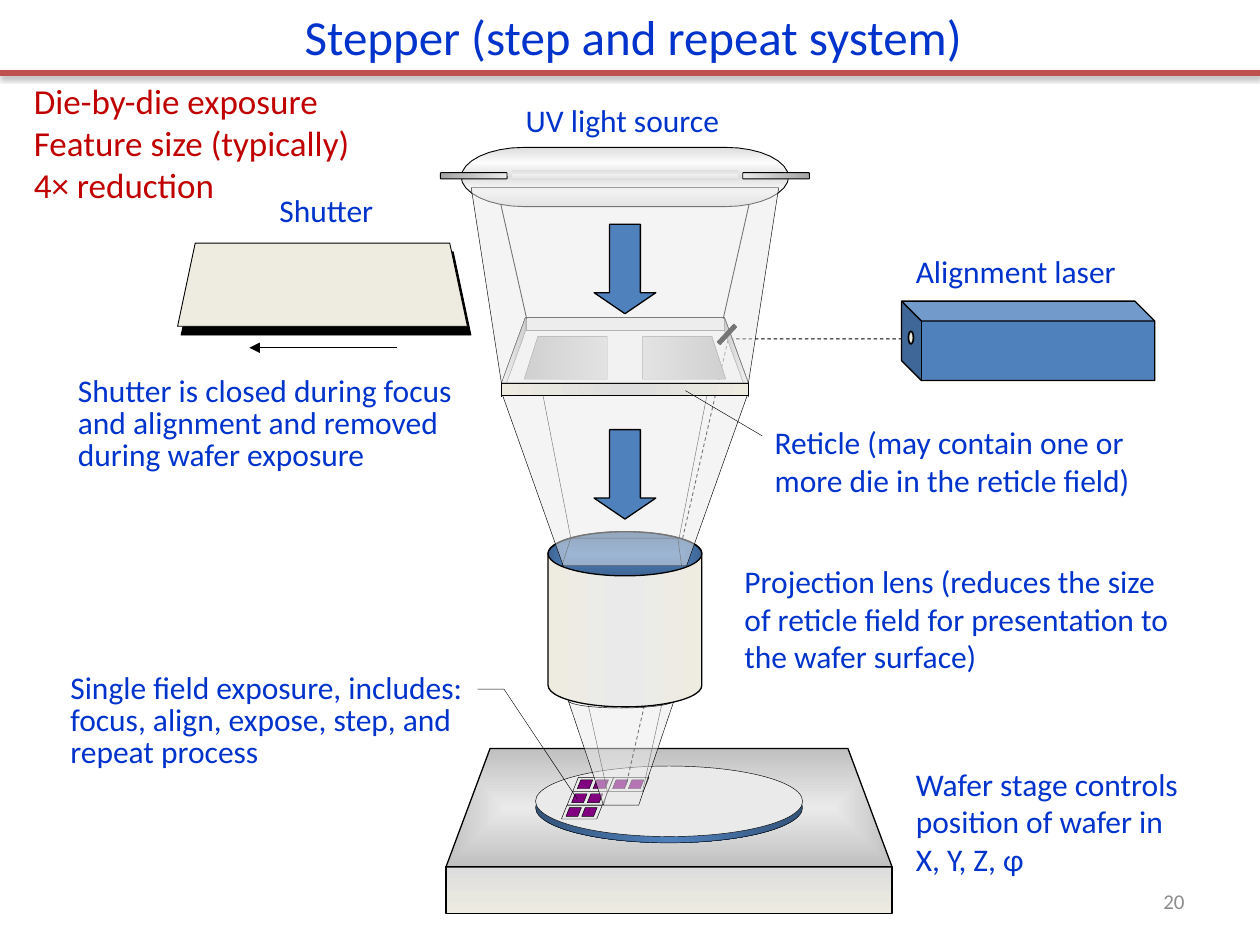
from math import cos, pi, sin

from lxml import etree
from pptx import Presentation
from pptx.dml.color import RGBColor
from pptx.enum.dml import MSO_LINE
from pptx.enum.shapes import MSO_CONNECTOR, MSO_SHAPE
from pptx.enum.text import MSO_ANCHOR, MSO_AUTO_SIZE, PP_ALIGN
from pptx.oxml.ns import qn
from pptx.util import Inches, Pt

RECT, OVAL, CAN = MSO_SHAPE.RECTANGLE, MSO_SHAPE.OVAL, MSO_SHAPE.CAN
CUBE, ROUND, DOWN = MSO_SHAPE.CUBE, MSO_SHAPE.ROUNDED_RECTANGLE, MSO_SHAPE.DOWN_ARROW
STRAIGHT, DASH = MSO_CONNECTOR.STRAIGHT, MSO_LINE.DASH
LEFT, MID, RIGHT = PP_ALIGN.LEFT, PP_ALIGN.CENTER, PP_ALIGN.RIGHT
TOP, HALF = MSO_ANCHOR.TOP, MSO_ANCHOR.MIDDLE
FIT, FIXED = MSO_AUTO_SIZE.SHAPE_TO_FIT_TEXT, MSO_AUTO_SIZE.NONE

WIDE, HIGH = Inches(10), Inches(7.5)
CELL = WIDE / 1000
OPTIC, STAGE, SPOT, SHUT, SIDE = 496, 531, 493, 256, 717

THEME = {
    "font": "Calibri",
    "ink": "000000",
    "rule": "C0504D",
    "text": {"title": (28, "0033CC"), "lead": (20, "C00000"),
             "label": (18, "0033CC"), "page": (12, "8C8C8C")},
    "line": {"thin": 0.25, "half": 0.5, "bold": 0.75, "ring": 1, "rule": 3},
    "fill": {
        "cream": ("EEECE1", None), "pale": ("EAEAEA", None),
        "steel": ("4F81BD", None), "die": ("800080", None),
        "black": ("000000", None), "beam": ("EAEAEA", 50),
        "glass": ("F8F8F8", 50), "front": ("DDDDDD EEECE1", 90),
        "stage": ("EAEAEA C0C0C0", "rect"), "rim": ("335379 4F81BD 335379", 0),
        "barrel": ("EEECE1 EAEAEA EEECE1", 0), "lens": ("4F81BD 3D6493", "shape"),
        "dusk": ("777777 C0C0C0", 0), "fade": ("F8F8F8 737373", 0),
        "edge": ("EEECE1 DDDDDD EEECE1", 0), "lamp": ("DDDDDD FCFCFC DDDDDD", 90),
        "tube": ("DDDDDD EEEEEE DDDDDD", 90), "pin": ("A3A3A3 EAEAEA", 0),
    },
    "shade": {"hard": (100, 0, 5.4, 68), "soft": (38, 3.1, 1.6, 90)},
}

TWIN = {"twin": True}
ARROW = {"adj": [0.5, 0.34]}
SCENE = [
    (SHUT, "trap", (193, 101, 259, 115), "cream", "half", {"shade": "hard"}),
    (STAGE, RECT, (0, 688, 354, 37), "front", "bold", {}),
    (STAGE, "trap", (594, 142, 688, 177), "stage", "bold", {}),
    (STAGE, OVAL, (0, 613, 212, 56), "rim", "thin", {}),
    (STAGE, OVAL, (0, 608, 212, 56), "pale", "thin", {}),
    (0, "dies", [(0, 0), (2, 0), (1, 0), (0, 1)], "die", "thin", {}),
    (OPTIC, "path", [(225, 269), (82, 269), (1, 623)], None, "half", {"dash": DASH}),
    (OPTIC, "path", [(-17, 639), (-14, 628), (15, 628)], None, "thin", {}),
    (OPTIC, "line", [(-14, 628), (-29, 560)], None, "thin", TWIN),
    (SPOT, "cone", (556, 42, 639, 14), "beam", "thin", {}),
    (OPTIC, CAN, (0, 422, 122, 139), "barrel", "bold", {"adj": [0.28]}),
    (OPTIC, OVAL, (0, 422, 122, 35), "lens", "bold", {}),
    (OPTIC, CUBE, (320, 239, 201, 63), "steel", "bold", {"flip": True, "adj": [0.25]}),
    (OPTIC, OVAL, (227, 263, 4, 10), "cream", "ring", {}),
    (OPTIC, "path", [(-50, 449), (-43, 427), (42, 427), (45, 449)], None, "thin", {}),
    (OPTIC, "line", [(-43, 427), (-65, 314)], None, "thin", TWIN),
    (OPTIC, "trap", (314, 97, 449, 49), "beam", "thin", {}),
    (OPTIC, DOWN, (0, 341, 49, 71), "steel", "bold", ARROW),
    (OPTIC, "poly", [(-80, 301), (-69, 267), (-14, 267), (-14, 301)], "dusk", "thin", TWIN),
    (OPTIC, RECT, (0, 252, 157, 10), "pale", "thin", {}),
    (OPTIC, "poly", [(-98, 304), (-79, 252), (-79, 263), (-98, 315)], "fade", "thin", TWIN),
    (OPTIC, RECT, (0, 304, 196, 10), "edge", "thin", {}),
    (OPTIC, "trap", (252, 79, 304, 98), "glass", "thin", {}),
    (OPTIC, "line", [(-78, 253), (-99, 160)], None, "half", TWIN),
    (OPTIC, "arc", (141, 80, 50, -24), "lamp", "half", {}),
    (OPTIC, "arc", (140, 80, 50, 24), "lamp", "half", {}),
    (OPTIC, ROUND, (-120, 137, 53, 5), "pin", "half", {"adj": [0.12], "twin": True}),
    (OPTIC, RECT, (0, 135, 179, 8), "tube", None, {}),
    (OPTIC, RECT, (81, 264, 19, 3), "black", "bold", {"turn": 313}),
    (OPTIC, "trap", (149, 122, 304, 98), "beam", "thin", {}),
    (OPTIC, DOWN, (0, 178, 49, 71), "steel", "bold", ARROW),
    (0, "path", [(379, 547), (400, 547), (458, 634)], None, "thin", {}),
    (0, "line", [(315, 276), (198, 276)], None, "bold", {"head": True}),
    (0, "line", [(605, 346), (544, 310)], None, "thin", {}),
    (0, "line", [(0, 58), (1000, 58)], None, "rule", {"ink": THEME["rule"], "shade": "soft"}),
]

BASE = {"wrap": True, "align": LEFT, "space": 1, "anchor": TOP, "size": FIT}
TIGHT, SOLO = {"space": 0.85}, {"wrap": False}
PEAK = {"wrap": False, "align": MID}
NOTES = [
    ("Single field exposure, includes: focus, align, expose, step, and repeat process",
     46, 530, 358, 3, "label", TIGHT),
    ("UV light source", 405, 75, 178, 1, "label", PEAK),
    ("Reticle (may contain one or more die in the reticle field)",
     605, 331, 326, 2, "label", {}),
    ("Shutter", 210, 147, 98, 1, "label", PEAK),
    ("Wafer stage controls position of wafer in\nX, Y, Z, φ", SIDE, 602, 248, 3, "label", {}),
    ("Projection lens (reduces the size of reticle field for presentation to the wafer surface)",
     581, 441, 359, 3, "label", {}),
    ("Shutter is closed during focus and alignment and removed during wafer exposure",
     52, 294, 326, 3, "label", TIGHT),
    ("Alignment laser", SIDE, 195, 184, 1, "label", SOLO),
    ("Stepper (step and repeat system)", 232, 0, 547, 1, "title", SOLO),
    ("Die-by-die exposure\nFeature size (typically) 4× reduction",
     17, 58, 275, 3, "lead", {}),
    ("20", SIDE, 700, 233, 1, "page", {"align": RIGHT, "anchor": HALF, "size": FIXED}),
]


def emu(nums):
    return [round(n * CELL) for n in nums]


def rgb(code):
    return RGBColor.from_string(code)


def put(node, tag, **vals):
    return etree.SubElement(node, qn("a:" + tag), {k: str(v) for k, v in vals.items()})


def trap(top, near, low, far):
    return [(-near, top), (near, top), (far, low), (-far, low)]


def arc(mid, flat, reach, rise, steps=16):
    turns = [pi * (1 - i / steps) for i in range(steps + 1)]
    left = [(reach * cos(t) - flat, mid + rise * sin(t)) for t in turns if t >= pi / 2]
    return left + [(-x, y) for x, y in left[::-1]]


def cone(top, near, low, far):
    return arc(top, 0, near, 6) + [(far, low), (-far, low)]


def slant(x, y, wide, high):
    lean = 0.4 * high
    return [(x, y), (x + wide, y), (x + wide - lean, y + high), (x - lean, y + high)]


def expand(kind, geo, fill, more):
    if kind == "dies":
        for row, col in geo:
            x, y = 459 + 28 * col - 4.5 * row, 617 + 11 * row
            for gap in (2, 14.5):
                yield "poly", slant(x + gap, y + 2, 9.5, 7), fill
            yield "poly", slant(x, y, 28, 11), None
        return
    rules = {"trap": ("poly", trap), "cone": ("poly", cone), "arc": ("path", arc)}
    if kind in rules:
        kind, rule = rules[kind]
        geo = rule(*geo)
    yield kind, geo, fill
    if "twin" in more:
        flat = isinstance(geo, tuple)
        twin = (-geo[0], *geo[1:]) if flat else [(-x, y) for x, y in geo]
        yield kind, twin, fill and "-" + fill


def paint(shape, name):
    if name is None:
        shape.fill.background()
        return
    tones, mode = THEME["fill"][name.lstrip("-")]
    tones = tones.split()
    if name.startswith("-"):
        tones.reverse()
    shape.fill.solid()
    shape.fill.fore_color.rgb = rgb(tones[0])
    solid = shape._element.spPr.find(qn("a:solidFill"))
    if len(tones) == 1:
        if mode:
            put(solid[0], "alpha", val=mode * 1000)
        return
    grad = etree.Element(qn("a:gradFill"), rotWithShape="1")
    stops = put(grad, "gsLst")
    for i, tone in enumerate(tones):
        put(put(stops, "gs", pos=100000 * i // (len(tones) - 1)), "srgbClr", val=tone)
    if isinstance(mode, str):
        put(put(grad, "path", path=mode), "fillToRect", **dict.fromkeys("ltrb", 50000))
    else:
        put(grad, "lin", ang=mode * 60000, scaled=0)
    solid.getparent().replace(solid, grad)


def make(shapes, axis, kind, geo):
    if isinstance(geo, tuple):
        mid, top, wide, high = geo
        return shapes.add_shape(kind, *emu((axis + mid - wide / 2, top, wide, high)))
    pts = [(axis + x, y) for x, y in geo]
    if kind == "line":
        return shapes.add_connector(STRAIGHT, *emu(pts[0] + pts[1]))
    pen = shapes.build_freeform(*emu(pts[0]))
    pen.add_line_segments([emu(pt) for pt in pts[1:]], close=kind == "poly")
    return pen.convert_to_shape()


def draw(shapes, axis, kind, geo, fill, line, more):
    shape = make(shapes, axis, kind, geo)
    props = shape._element.spPr
    if kind != "line":
        paint(shape, fill)
    if line:
        shape.line.color.rgb = rgb(more.get("ink", THEME["ink"]))
        shape.line.width = Pt(THEME["line"][line])
    else:
        shape.line.fill.background()
    if "dash" in more:
        shape.line.dash_style = more["dash"]
    if "head" in more:
        put(props.find(qn("a:ln")), "tailEnd", type="triangle")
    for i, val in enumerate(more.get("adj", [])):
        shape.adjustments[i] = val
    if "flip" in more:
        props.find(qn("a:xfrm")).set("flipH", "1")
    if "turn" in more:
        shape.rotation = more["turn"]
    glow = put(props, "effectLst")
    if "shade" in more:
        alpha, blur, dist, ang = THEME["shade"][more["shade"]]
        cast = put(glow, "outerShdw", blurRad=Pt(blur), dist=Pt(dist),
                   dir=ang * 60000, algn="ctr", rotWithShape=0)
        put(put(cast, "srgbClr", val=THEME["ink"]), "alpha", val=alpha * 1000)


def write(shapes, text, x, y, wide, rows, role, more):
    look = {**BASE, **more}
    size, tone = THEME["text"][role]
    high = 10 + 1.69 * size * rows * look["space"]
    frame = shapes.add_textbox(*emu((x, y, wide, high))).text_frame
    frame.text = text
    form = {"word_wrap": look["wrap"], "auto_size": look["size"],
            "vertical_anchor": look["anchor"]}
    for key, val in form.items():
        setattr(frame, key, val)
    for para in frame.paragraphs:
        for key, val in {"alignment": look["align"], "line_spacing": float(look["space"])}.items():
            setattr(para, key, val)
        for key, val in {"name": THEME["font"], "size": Pt(size)}.items():
            setattr(para.runs[0].font, key, val)
        para.runs[0].font.color.rgb = rgb(tone)


def main():
    deck = Presentation()
    deck.slide_width, deck.slide_height = WIDE, HIGH
    shapes = deck.slides.add_slide(deck.slide_layouts[6]).shapes
    for axis, kind, geo, fill, line, more in SCENE:
        for part in expand(kind, geo, fill, more):
            draw(shapes, axis, *part, line, more)
    for note in NOTES:
        write(shapes, *note)
    deck.save("out.pptx")


if __name__ == "__main__":
    main()
